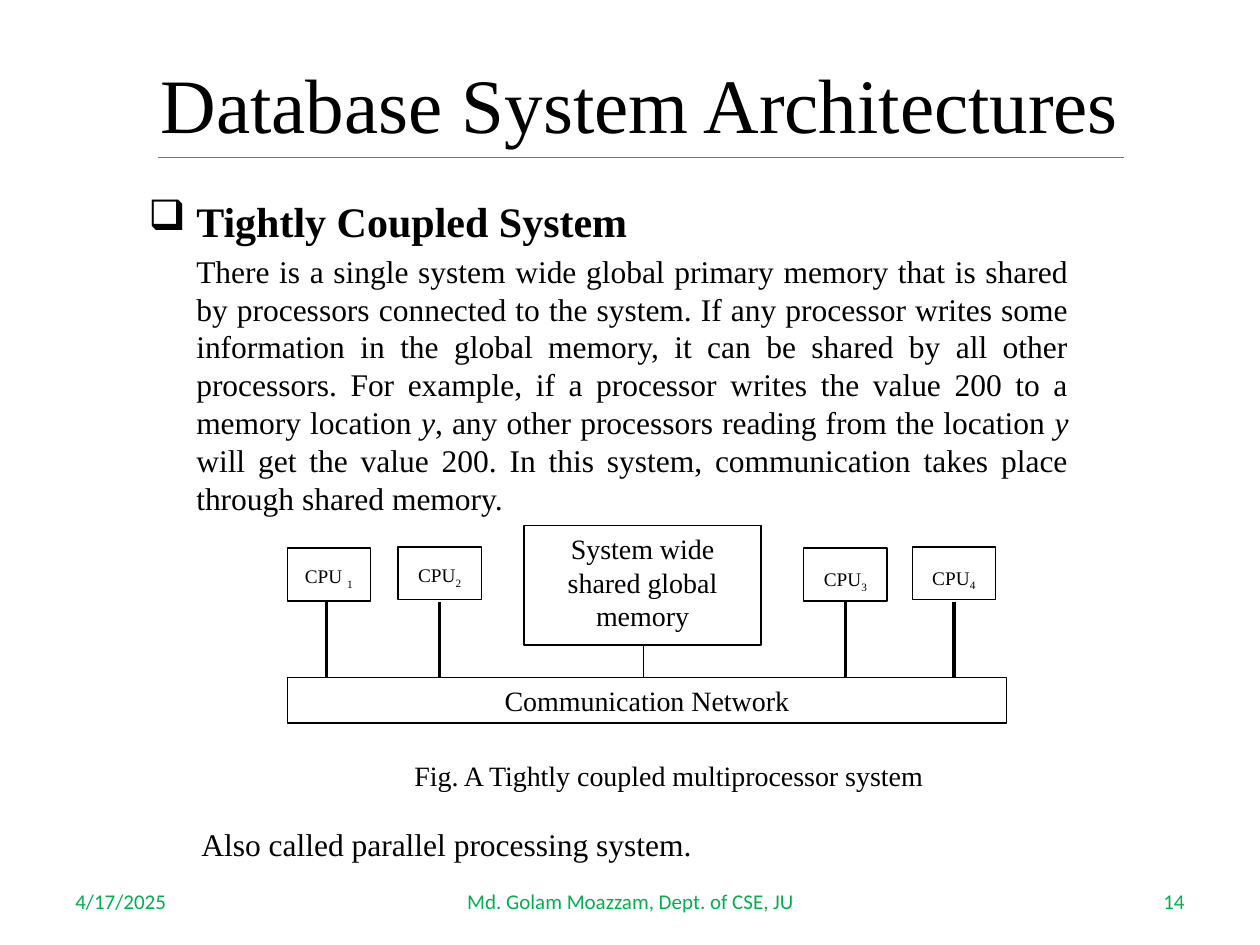
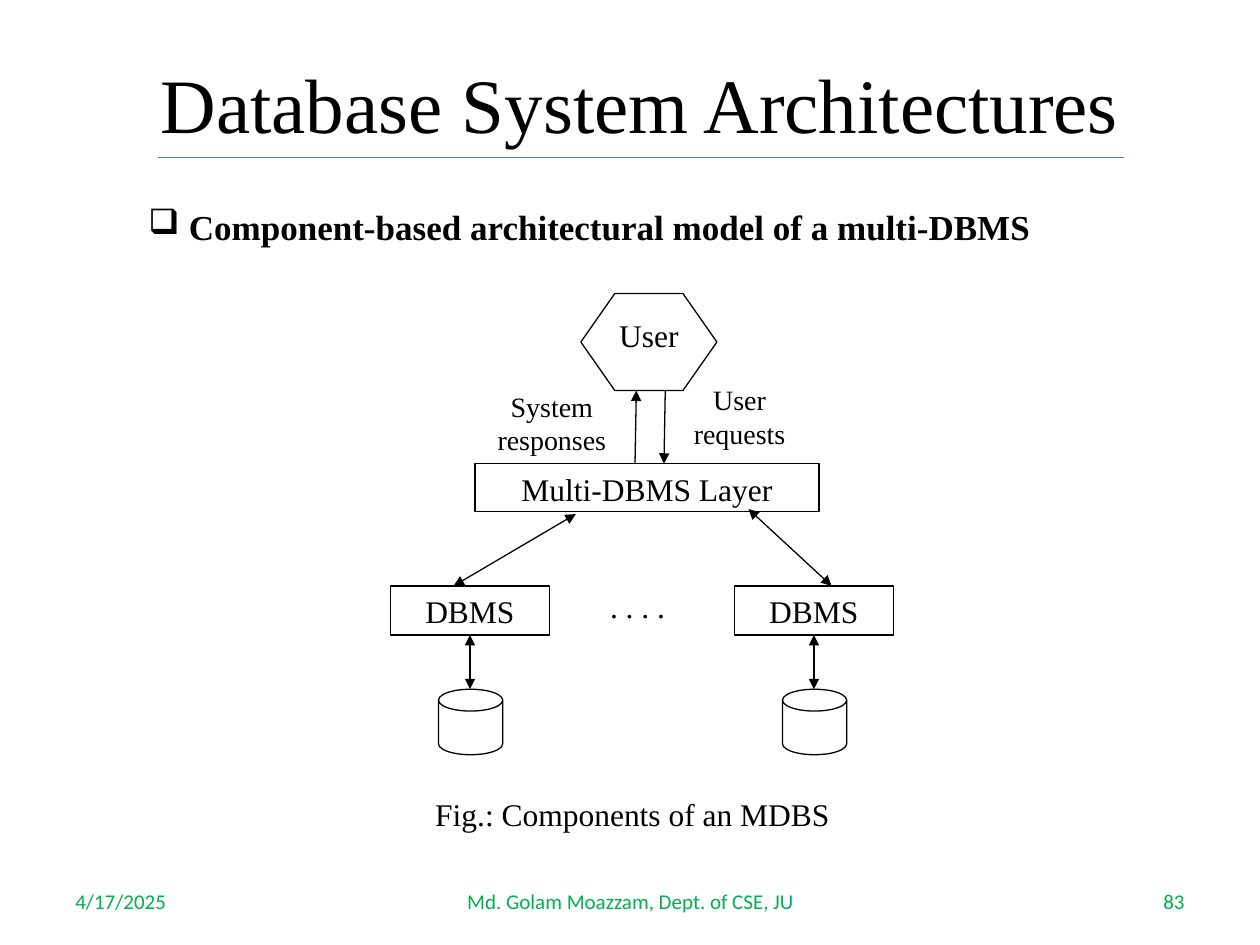
"""Build two slides on tightly coupled and component-based database architectures."""
import pptx
import pptx.util
import pptx.dml.color
import pptx.enum.shapes
import pptx.enum.text
import pptx.oxml.ns
import lxml.etree

Inches = pptx.util.Inches
Pt = pptx.util.Pt
SHAPE = pptx.enum.shapes.MSO_SHAPE
ALIGN = pptx.enum.text.PP_ALIGN
ANCHOR = pptx.enum.text.MSO_ANCHOR
COLORS = {"text": "000000", "paper": "FFFFFF", "footer": "00B050", "rule": "4B7EBC"}
SERIF = "Times New Roman"
DATE = "4/17/2025"
AUTHOR = "Md. Golam Moazzam, Dept. of CSE, JU"


def add_block(slide, box, paragraphs, size, align=ALIGN.CENTER, preset=None, fill=None,
              outline=True, anchor=ANCHOR.TOP, color="text", font=SERIF):
    """Add a text box or preset shape; a run is (text, style letters)."""
    bounds = [Inches(value) for value in box]
    if preset is None:
        shape = slide.shapes.add_textbox(*bounds)
    else:
        shape = slide.shapes.add_shape(preset, *bounds)
        shape.shadow.inherit = False
        if fill:
            shape.fill.solid()
            shape.fill.fore_color.rgb = pptx.dml.color.RGBColor.from_string(COLORS[fill])
        else:
            shape.fill.background()
        if outline:
            shape.line.color.rgb = pptx.dml.color.RGBColor.from_string(COLORS["text"])
            shape.line.width = Pt(0.75)
        else:
            shape.line.fill.background()
    frame = shape.text_frame
    frame.word_wrap = True
    frame.vertical_anchor = anchor
    for index, runs in enumerate(paragraphs):
        paragraph = frame.paragraphs[0] if index == 0 else frame.add_paragraph()
        paragraph.alignment = align
        for text, style in runs:
            run = paragraph.add_run()
            run.text = text
            run.font.name = font
            run.font.size = Pt(size)
            run.font.bold = "b" in style
            run.font.italic = "i" in style
            run.font.color.rgb = pptx.dml.color.RGBColor.from_string(COLORS[color])
            if "s" in style:
                run.font._element.set("baseline", "-25000")
    return shape


def add_line(slide, start, end, width=0.75, color="text", arrows=()):
    """Add a straight connector with optional headEnd and tailEnd arrows."""
    line = slide.shapes.add_connector(
        pptx.enum.shapes.MSO_CONNECTOR.STRAIGHT, *[Inches(value) for value in (*start, *end)])
    line.line.color.rgb = pptx.dml.color.RGBColor.from_string(COLORS[color])
    line.line.width = Pt(width)
    for arrow in arrows:
        lxml.etree.SubElement(line.line._get_or_add_ln(), pptx.oxml.ns.qn("a:" + arrow), type="triangle")
    lxml.etree.SubElement(line._element.spPr, pptx.oxml.ns.qn("a:effectLst"))


presentation = pptx.Presentation()
presentation.slide_width = Inches(10)
presentation.slide_height = Inches(7.5)

slides = []
headings = [
    ("14", "Tightly Coupled System", 24, (1.08, 1.5, 7.5, 2.67), 0.38),
    ("83", "Component-based architectural model of a multi-DBMS", 20, (1.08, 1.58, 7.92, 0.5), 0.32),
]
bodies = []
for number, heading, heading_size, box, indent in headings:
    slide = presentation.slides.add_slide(presentation.slide_layouts[6])
    add_block(slide, (1.08, 0.38, 8, 0.87), [[("Database System Architectures", "")]], 44,
              anchor=ANCHOR.MIDDLE)
    add_line(slide, (1.25, 1.25), (8.92, 1.25), color="rule")
    for left, width, text, align in [(0.5, 2.33, DATE, ALIGN.LEFT), (3.42, 3.17, AUTHOR, ALIGN.CENTER),
                                     (7.17, 2.33, number, ALIGN.RIGHT)]:
        add_block(slide, (left, 6.95, width, 0.4), [[(text, "")]], 12, align,
                  anchor=ANCHOR.MIDDLE, color="footer", font="Calibri")
    body = add_block(slide, box, [[(heading, "b")]], heading_size, ALIGN.JUSTIFY)
    properties = body.text_frame.paragraphs[0]._p.get_or_add_pPr()
    properties.set("marL", str(Inches(indent)))
    properties.set("indent", str(-Inches(indent)))
    lxml.etree.SubElement(properties, pptx.oxml.ns.qn("a:buChar"), char="❑")
    slides.append(slide)
    bodies.append(body)

coupled_slide, component_slide = slides

description = [
    ("There is a single system wide global primary memory that is shared by processors connected to "
     "the system. If any processor writes some information in the global memory, it can be shared by "
     "all other processors. For example, if a processor writes the value 200 to a memory location ", ""),
    ("y", "i"),
    (", any other processors reading from the location ", ""),
    ("y", "i"),
    (" will get the value 200. In this system, communication takes place through shared memory.", ""),
]
paragraph = bodies[0].text_frame.add_paragraph()
paragraph.alignment = ALIGN.JUSTIFY
paragraph.space_before = Pt(3.6)
paragraph._p.get_or_add_pPr().set("marL", str(Inches(0.38)))
for text, style in description:
    run = paragraph.add_run()
    run.text = text
    run.font.name = SERIF
    run.font.size = Pt(18)
    run.font.italic = "i" in style
    run.font.color.rgb = pptx.dml.color.RGBColor.from_string(COLORS["text"])

add_block(coupled_slide, (2.28, 5.38, 5.71, 0.36), [[("Communication Network", "")]], 16,
          preset=SHAPE.RECTANGLE, fill="paper")
processors = [("CPU ", "1", 2.28, 4.35, 0.13, 2.59), ("CPU", "2", 3.16, 4.34, 0.13, 3.49),
              ("CPU", "3", 6.38, 4.35, 0.15, 6.71), ("CPU", "4", 7.24, 4.34, 0.15, 7.57)]
for name, number, left, top, inset, link in processors:
    processor = add_block(coupled_slide, (left, top, 0.66, 0.42), [[(name, ""), (number, "s")]], 11,
                          preset=SHAPE.RECTANGLE)
    processor.text_frame.margin_top = Inches(inset)
    add_line(coupled_slide, (link, 4.78), (link, 5.38), width=0)
add_block(coupled_slide, (4.16, 4.17, 1.88, 0.95), [[("System wide shared global memory", "")]], 16,
          preset=SHAPE.RECTANGLE)
add_line(coupled_slide, (5.11, 5.12), (5.11, 5.38))
add_block(coupled_slide, (3.19, 5.97, 4.27, 0.34),
          [[("Fig. A Tightly coupled multiprocessor system", "")]], 16, ALIGN.LEFT,
          preset=SHAPE.RECTANGLE, fill="paper", outline=False)
add_block(coupled_slide, (1.5, 6.5, 5.75, 0.5), [[("Also called parallel processing system.", "")]], 18,
          ALIGN.LEFT)

both_ends = ("headEnd", "tailEnd")
for left in (3.1, 5.83):
    center = left + 0.63
    add_block(component_slide, (left, 4.65, 1.26, 0.39), [[("DBMS", "")]], 18, preset=SHAPE.RECTANGLE)
    add_block(component_slide, (left + 0.38, 5.47, 0.51, 0.52), [], 18,
              preset=SHAPE.FLOWCHART_MAGNETIC_DISK, fill="paper")
    add_line(component_slide, (center, 5.04), (center, 5.47), arrows=both_ends)
add_block(component_slide, (3.77, 3.68, 2.73, 0.38), [[("Multi-DBMS Layer", "")]], 18,
          preset=SHAPE.RECTANGLE)
add_line(component_slide, (4.57, 4.08), (3.6, 4.65), arrows=both_ends)
add_line(component_slide, (5.94, 4.04), (6.6, 4.65), arrows=both_ends)
user = add_block(component_slide, (4.61, 2.33, 1.08, 0.77), [[("User", "")]], 18,
                 preset=SHAPE.HEXAGON, fill="paper")
user.adjustments[0] = 0.35
add_line(component_slide, (5.05, 3.1), (5.04, 3.68), arrows=("headEnd",))
add_line(component_slide, (5.28, 3.1), (5.27, 3.68), arrows=("tailEnd",))
for box, paragraphs, size in [
    ((5.24, 2.99, 1.26, 0.65), [[("User", "")], [("requests", "")]], 16),
    ((3.75, 3.04, 1.26, 0.65), [[("System responses", "")]], 16),
    ((3.37, 4.61, 3.38, 0.86), [[(". . . .", "")]], 18),
    ((3.33, 6.26, 3.38, 0.4), [[("Fig.: Components of an MDBS", "")]], 18),
]:
    add_block(component_slide, box, paragraphs, size)

presentation.save("out.pptx")
